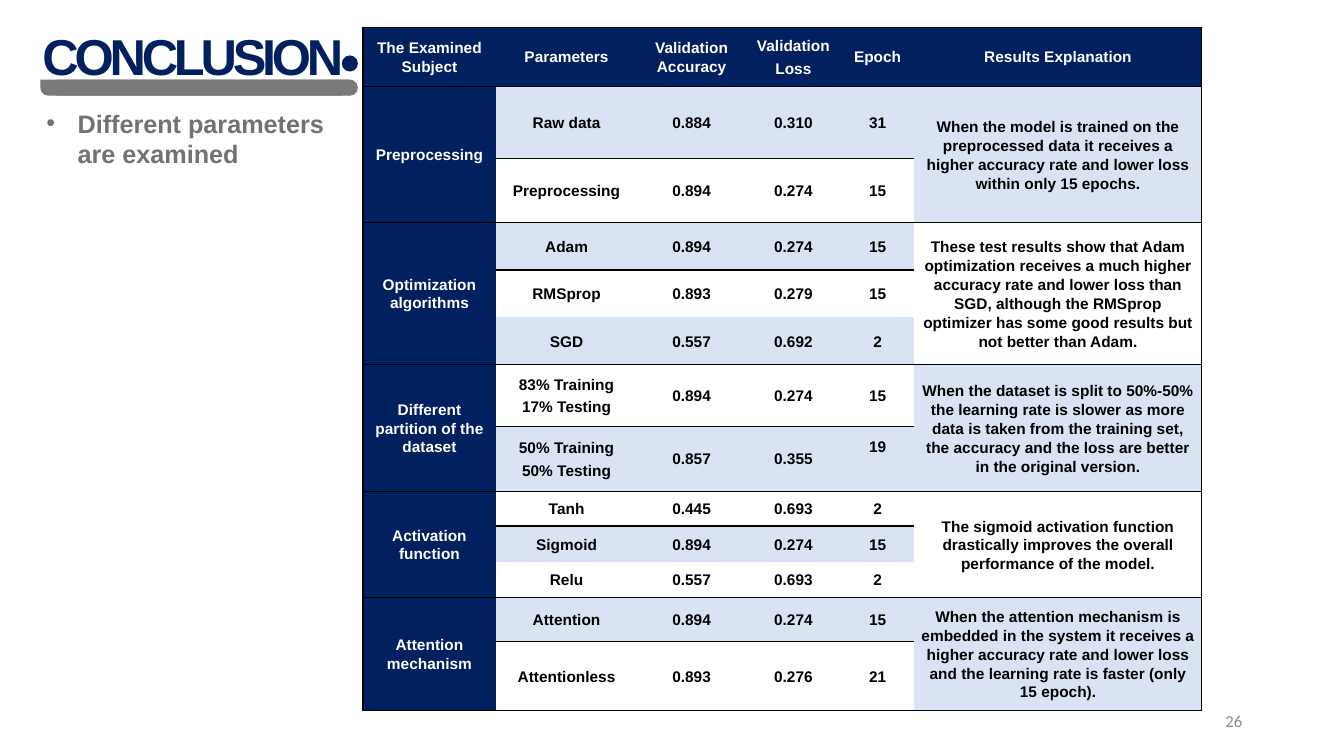
from dataclasses import dataclass

from lxml.etree import SubElement
from pptx import Presentation
from pptx.dml.color import RGBColor
from pptx.enum.shapes import MSO_SHAPE
from pptx.enum.text import MSO_ANCHOR, MSO_AUTO_SIZE, PP_ALIGN
from pptx.oxml.ns import qn
from pptx.util import Inches, Pt


@dataclass(frozen=True)
class Theme:
    navy: str = "002060"
    pale_blue: str = "DAE3F3"
    white: str = "FFFFFF"
    black: str = "000000"
    bar_gray: str = "7A7A7A"
    text_gray: str = "767171"
    number_gray: str = "8C8C8C"
    font: str = "Arial"
    number_font: str = "Calibri"
    title_size: int = 36
    body_size: int = 18
    number_size: int = 12
    table_size: int = 11


theme = Theme()


def write_text(frame, text, *, size, color, font=theme.font, bold=True, align=PP_ALIGN.LEFT,
               line_spacing=1.0, space_after=0, bullet_indent=None, letter_spacing=None):
    """Fill a text frame, one paragraph per line of text."""
    for index, line in enumerate(text.split("\n")):
        paragraph = frame.paragraphs[0] if index == 0 else frame.add_paragraph()
        paragraph.alignment = align
        paragraph.line_spacing = line_spacing
        paragraph.space_before = Pt(0)
        paragraph.space_after = Pt(space_after)
        if bullet_indent:
            properties = paragraph._p.get_or_add_pPr()
            properties.set("marL", str(Inches(bullet_indent)))
            properties.set("indent", str(-Inches(bullet_indent)))
            SubElement(properties, qn("a:buChar"), char="•")
        run = paragraph.add_run()
        run.text = line
        run.font.name = font
        run.font.size = Pt(size)
        run.font.bold = bold
        run.font.color.rgb = RGBColor.from_string(color)
        if letter_spacing:
            run._r.get_or_add_rPr().set("spc", str(letter_spacing * 100))


def format_cell(cell, fill, edges):
    """Set a cell's margins, anchor, fill and one-point black edges."""
    cell.margin_left = cell.margin_right = Inches(0.06)
    cell.margin_top = cell.margin_bottom = 0
    cell.vertical_anchor = MSO_ANCHOR.MIDDLE
    properties = cell._tc.get_or_add_tcPr()
    for edge in edges:
        line = SubElement(properties, qn(f"a:ln{edge}"), w=str(Pt(1)))
        line_fill = SubElement(line, qn("a:solidFill"))
        SubElement(line_fill, qn("a:srgbClr"), val=theme.black)
    cell.fill.solid()
    cell.fill.fore_color.rgb = RGBColor.from_string(fill)


presentation = Presentation()
presentation.slide_width = Inches(13.33)
presentation.slide_height = Inches(7.5)
slide = presentation.slides.add_slide(presentation.slide_layouts[1])

# Title
title = slide.shapes.title
title.left, title.top, title.width, title.height = map(Inches, (0.32, -0.14, 13.01, 1.45))
title.text_frame.vertical_anchor = MSO_ANCHOR.MIDDLE
title.text_frame.auto_size = MSO_AUTO_SIZE.NONE
write_text(title.text_frame, "CONCLUSION", size=theme.title_size, color=theme.navy,
           line_spacing=0.9, letter_spacing=-3)

# Bullet list
body = slide.placeholders[1]
body.left, body.top, body.width, body.height = map(Inches, (0.36, 1.02, 3.19, 0.71))
body.text_frame.auto_size = MSO_AUTO_SIZE.NONE
write_text(body.text_frame, "Different parameters are examined", size=theme.body_size,
           color=theme.text_gray, bullet_indent=0.31)

# Results table: subject, tested rows, explanation
header = ["The Examined Subject", "Parameters", "Validation Accuracy", "Validation\nLoss",
          "Epoch", "Results Explanation"]
groups = [
    ("Preprocessing",
     [("Raw data", "0.884", "0.310", "31"),
      ("Preprocessing", "0.894", "0.274", "15")],
     "When the model is trained on the preprocessed data it receives a higher accuracy rate "
     "and lower loss within only 15 epochs."),
    ("Optimization algorithms",
     [("Adam", "0.894", "0.274", "15"),
      ("RMSprop", "0.893", "0.279", "15"),
      ("SGD", "0.557", "0.692", "2")],
     "These test results show that Adam optimization receives a much higher accuracy rate and "
     "lower loss than SGD, although the RMSprop optimizer has some good results but not better "
     "than Adam."),
    ("Different partition of the dataset",
     [("83% Training\n17% Testing", "0.894", "0.274", "15"),
      ("50% Training\n50% Testing", "0.857", "0.355", "19")],
     "When the dataset is split to 50%-50% the learning rate is slower as more data is taken "
     "from the training set, the accuracy and the loss are better in the original version."),
    ("Activation function",
     [("Tanh", "0.445", "0.693", "2"),
      ("Sigmoid", "0.894", "0.274", "15"),
      ("Relu", "0.557", "0.693", "2")],
     "The sigmoid activation function drastically improves the overall performance of the model."),
    ("Attention mechanism",
     [("Attention", "0.894", "0.274", "15"),
      ("Attentionless", "0.893", "0.276", "21")],
     "When the attention mechanism is embedded in the system it receives a higher accuracy rate "
     "and lower loss and the learning rate is faster (only 15 epoch)."),
]
column_widths = [1.32, 1.4, 1.08, 0.94, 0.73, 2.85]
row_heights = [0.59, 0.71, 0.64, 0.47, 0.47, 0.47, 0.61, 0.65, 0.34, 0.36, 0.35, 0.44, 0.68]
last_column = len(column_widths) - 1

table_frame = slide.shapes.add_table(len(row_heights), len(column_widths), Inches(3.6),
                                     Inches(0.27), Inches(8.31), Inches(6.79))
table = table_frame.table
for style in table_frame.element.iter(qn("a:tableStyleId")):
    style.text = "{2D5ABB26-0587-4C30-8999-92F81FD0307C}"  # no style, no grid
for column, width in zip(table.columns, column_widths):
    column.width = Inches(width)
for row, height in zip(table.rows, row_heights):
    row.height = Inches(height)

outer_edges = {0: ["L"], last_column: ["R"]}
cell_text = dict(size=theme.table_size, align=PP_ALIGN.CENTER, line_spacing=1.07, space_after=3)
explanation_text = dict(cell_text, line_spacing=1.1, space_after=6)

for column_index, text in enumerate(header):
    cell = table.cell(0, column_index)
    format_cell(cell, theme.navy, outer_edges.get(column_index, []) + ["T", "B"])
    write_text(cell.text_frame, text, color=theme.white, **cell_text)

first_row = 1
for group_index, (subject, tests, explanation) in enumerate(groups):
    last_row = first_row + len(tests) - 1
    explanation_fill = theme.white if group_index % 2 else theme.pale_blue
    for row_index, test in enumerate(tests, first_row):
        test_fill = theme.pale_blue if row_index % 2 else theme.white
        fills = [theme.navy] + [test_fill] * len(test) + [explanation_fill]
        # Lines run above a group, below its first row and below its last row
        top = ["T"] if row_index == first_row else []
        bottom = ["B"] if row_index in (first_row, last_row) else []
        for column_index, fill in enumerate(fills):
            edges = outer_edges.get(column_index, []) + top + bottom
            format_cell(table.cell(row_index, column_index), fill, edges)
        for column_index, text in enumerate(test, 1):
            write_text(table.cell(row_index, column_index).text_frame, text,
                       color=theme.black, **cell_text)
    for column_index in (0, last_column):
        table.cell(first_row, column_index).merge(table.cell(last_row, column_index))
    write_text(table.cell(first_row, 0).text_frame, subject, color=theme.white, **cell_text)
    write_text(table.cell(first_row, last_column).text_frame, explanation,
               color=theme.black, **explanation_text)
    first_row = last_row + 1

# The epoch of the 50% split sits above the middle of its cell
table.cell(7, 4).margin_bottom = Inches(0.24)

# Bar under the title, and the dot that ends it
decorations = [
    (MSO_SHAPE.ROUND_2_SAME_RECTANGLE, 0.4, 0.79, 3.06, theme.bar_gray),
    (MSO_SHAPE.RECTANGLE, 0.56, 0.79, 2.91, theme.bar_gray),
    (MSO_SHAPE.OVAL, 3.39, 0.55, 0.16, theme.navy),
    (MSO_SHAPE.OVAL, 3.39, 0.79, 0.16, theme.bar_gray),
]
for kind, left, top, width, color in decorations:
    shape = slide.shapes.add_shape(kind, Inches(left), Inches(top), Inches(width), Inches(0.16))
    shape.shadow.inherit = False
    shape.fill.solid()
    shape.fill.fore_color.rgb = RGBColor.from_string(color)
    shape.line.fill.background()
    if kind == MSO_SHAPE.ROUND_2_SAME_RECTANGLE:
        shape.adjustments[0], shape.adjustments[1] = 0, 0.5

# Slide number
number_box = slide.shapes.add_textbox(Inches(9.42), Inches(6.95), Inches(3), Inches(0.4))
number_box.text_frame.word_wrap = True
number_box.text_frame.vertical_anchor = MSO_ANCHOR.MIDDLE
write_text(number_box.text_frame, "26", size=theme.number_size, color=theme.number_gray,
           font=theme.number_font, bold=False, align=PP_ALIGN.RIGHT, space_after=6)

presentation.save("out.pptx")
